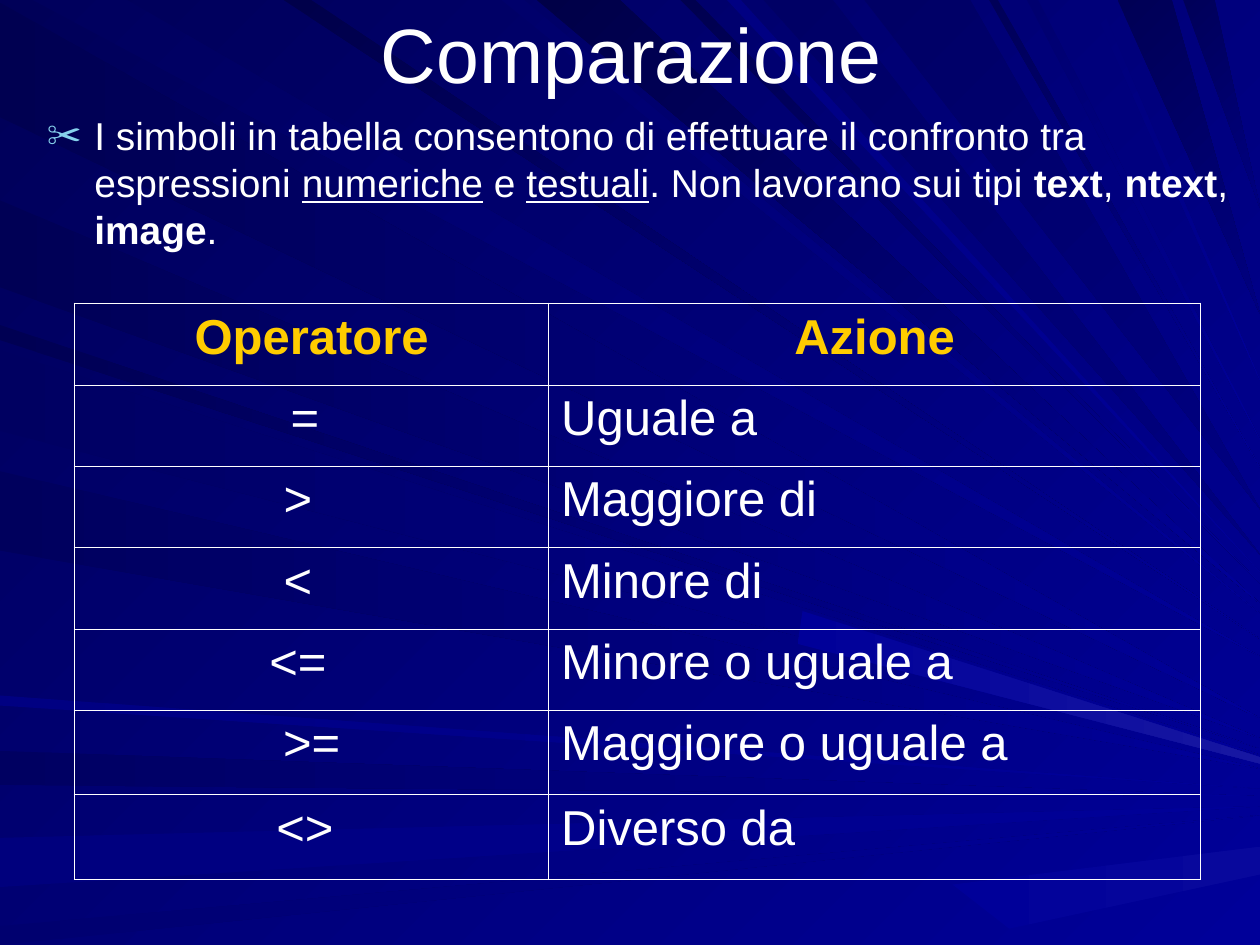
from dataclasses import dataclass

from lxml import etree
from pptx import Presentation
from pptx.dml.color import RGBColor
from pptx.enum.text import MSO_ANCHOR, MSO_AUTO_SIZE, PP_ALIGN
from pptx.oxml.ns import qn
from pptx.util import Cm, Pt

CENTER, LEFT = PP_ALIGN.CENTER, PP_ALIGN.LEFT
TOP, MIDDLE = MSO_ANCHOR.TOP, MSO_ANCHOR.MIDDLE
FIXED = MSO_AUTO_SIZE.NONE


@dataclass(frozen=True)
class Theme:
    font: str = "Arial"
    text: str = "FFFFFF"
    head: str = "FFCC00"
    bullet: str = "86D1EC"
    dark: str = "000058"
    mid: str = "000080"
    blue: str = "000099"
    glow: str = "1717A2"
    haze: str = "08089C"
    title: float = 44
    body: float = 22.2
    cell: float = 28
    thin: float = 0.45
    thick: float = 1.08


# Rays in 1/100 inch: where each leaves the edge, its width, its dark end
SIDE = [
    (2, 91, "000051"), (596, 27, "000061"), (665, 39, "00007D"),
    (735, 15, "00006F"), (258, 12, "000053"), (159, 69, "000055"),
    (278, 64, "000061"), (374, 63, "00005D"), (552, 8, "000082"),
]
ROOF = [
    (26, 75, "00005D"), (398, 18, "00006B"), (426, 66, "000047"),
    (540, 12, "00004F"), (606, 55, "000065"), (887, 43, "000055"),
    (939, 25, "000059"), (225, 22, "00004A"), (577, 11, "000082"),
    (686, 84, "000065"), (785, 7, "000058"), (815, 9, "00006F"),
    (865, 7, "000079"),
]
EDGE = 1000
FOCUS, SIDE_Y, ROOF_Y = 1125, 635, 590
BEAM = [(637, 485), (633, 511), (EDGE, 606), (EDGE, 601)]
FLOOR = [(756, 702), (801, 737), (EDGE, 694), (EDGE, 672)]

# Body text: words and their mark (u underline, b bold)
INTRO = [
    ("I simboli in tabella consentono di effettuare il confronto tra espressioni ", ""),
    ("numeriche", "u"), (" e ", ""), ("testuali", "u"),
    (". Non lavorano sui tipi ", ""), ("text", "b"), (", ", ""),
    ("ntext", "b"), (", ", ""), ("image", "b"), (".", ""),
]

# Operator, action, extra right margin in cm
ROWS = [
    ("Operatore", "Azione", 0), ("=", "Uguale a", 0.27),
    (">", "Maggiore di", 0.55), ("<", "Minore di", 0.55),
    ("<=", "Minore o uguale a", 0.55), (">=", "Maggiore o uguale a", 0),
    ("<>", "Diverso da", 0.27),
]


class Deck:
    def __init__(self, theme):
        self.theme = theme
        self.prs = Presentation()
        self.prs.slide_width, self.prs.slide_height = Cm(25.4), Cm(19.05)
        self.slide = self.prs.slides.add_slide(self.prs.slide_layouts[1])

    def blend(self, fill, start, end, angle):
        fill.gradient()
        fill.gradient_angle = 360 - angle
        for stop, color in zip(fill.gradient_stops, (start, end)):
            stop.color.rgb = RGBColor.from_string(color)

    def style(self, para, size, color, bold=False):
        font = para.font
        font.name, font.size, font.bold = self.theme.font, Pt(size), bold
        font.color.rgb = RGBColor.from_string(color)

    def place(self, shape, left, top, width, height):
        shape.left, shape.top = Cm(left), Cm(top)
        shape.width, shape.height = Cm(width), Cm(height)
        shape.text_frame.auto_size = FIXED

    def ray(self, group, dots, start, end, angle):
        pen = group.shapes.build_freeform(*dots[0], scale=Cm(0.0254))
        pen.add_line_segments(dots[1:], close=True)
        shape = pen.convert_to_shape()
        shape.shadow.inherit = False
        shape.line.fill.background()
        self.blend(shape.fill, start, end, angle)

    def rays(self):
        look = self.theme
        group = self.slide.shapes.add_group_shape()
        # Each ray aims at a focus beyond the right edge and stops there
        for y, size, dark in SIDE:
            mean = y + size / 2
            tip = mean + (SIDE_Y - mean) * EDGE / FOCUS
            self.ray(group, [(0, y), (0, y + size), (EDGE, tip)],
                     dark, look.blue, 0)
        for x, size, dark in ROOF:
            mean = x + size / 2
            tip = ROOF_Y * (EDGE - mean) / (FOCUS - mean)
            end = look.mid if size > 24 and x > 500 else look.blue
            self.ray(group, [(x, 0), (x + size, 0), (EDGE, tip)],
                     dark, end, 45)
        self.ray(group, BEAM, look.blue, look.glow, 0)
        self.ray(group, FLOOR, look.blue, look.haze, 0)
        # Send the rays behind the text
        self.slide.shapes._spTree.insert(2, group._element)

    def title(self, text, *box):
        shape = self.slide.shapes.title
        self.place(shape, *box)
        frame = shape.text_frame
        frame.text, frame.vertical_anchor = text, MIDDLE
        para = frame.paragraphs[0]
        para.alignment = CENTER
        self.style(para, self.theme.title, self.theme.text)

    def body(self, parts, *box):
        shape = self.slide.placeholders[1]
        self.place(shape, *box)
        shape.text_frame.vertical_anchor = TOP
        para = shape.text_frame.paragraphs[0]
        para.space_before = Pt(6)
        props = para._p.get_or_add_pPr()
        props.set("marL", str(Cm(0.96)))
        props.set("indent", str(-Cm(0.96)))
        tint = etree.SubElement(props, qn("a:buClr"))
        etree.SubElement(tint, qn("a:srgbClr"), val=self.theme.bullet)
        etree.SubElement(props, qn("a:buSzPct"), val="90000")
        etree.SubElement(props, qn("a:buChar"), char="✂")
        self.style(para, self.theme.body, self.theme.text)
        for text, mark in parts:
            run = para.add_run()
            run.text = text
            if mark == "u":
                run.font.underline = True
            elif mark == "b":
                run.font.bold = True

    def border(self, cell, edges):
        props = cell._tc.get_or_add_tcPr()
        for spot, (side, width) in enumerate(edges.items()):
            line = etree.Element(qn("a:ln" + side), w=str(Pt(width)))
            fill = etree.SubElement(line, qn("a:solidFill"))
            etree.SubElement(fill, qn("a:srgbClr"), val=self.theme.text)
            props.insert(spot, line)

    def table(self, rows, left, top, widths, heights):
        look = self.theme
        table = self.slide.shapes.add_table(
            len(rows), len(widths), Cm(left), Cm(top),
            Cm(sum(widths)), Cm(sum(heights))).table
        table.first_row = table.horz_banding = False
        for col, width in zip(table.columns, widths):
            col.width = Cm(width)
        for y, (*words, pad) in enumerate(rows):
            table.rows[y].height = Cm(heights[y])
            for x, word in enumerate(words):
                cell, head = table.cell(y, x), y == 0
                cell.text = word
                cell.fill.background()
                if x == 0:
                    cell.margin_right = Cm(0.25 + pad)
                para = cell.text_frame.paragraphs[0]
                para.alignment = CENTER if head or x == 0 else LEFT
                para.space_before = Pt(7)
                self.style(para, look.cell, look.head if head else look.text, head)
                self.border(cell, {
                    "L": look.thick if x == 0 else look.thin,
                    "R": look.thick if x == len(widths) - 1 else look.thin,
                    "T": look.thick if head else look.thin,
                    "B": look.thin})


def main():
    theme = Theme()
    deck = Deck(theme)
    # Background
    deck.blend(deck.slide.background.fill, theme.dark, theme.blue, 45)
    deck.rays()
    # Title and text
    deck.title("Comparazione", 1.3, 0, 22.86, 2.13)
    deck.body(INTRO, 0.69, 2.13, 24.71, 3.2)
    # Operators
    deck.table(ROWS, 1.5, 6.12, (9.56, 13.14), [1.64] * 5 + [1.7] * 2)
    deck.prs.save("out.pptx")


if __name__ == "__main__":
    main()
